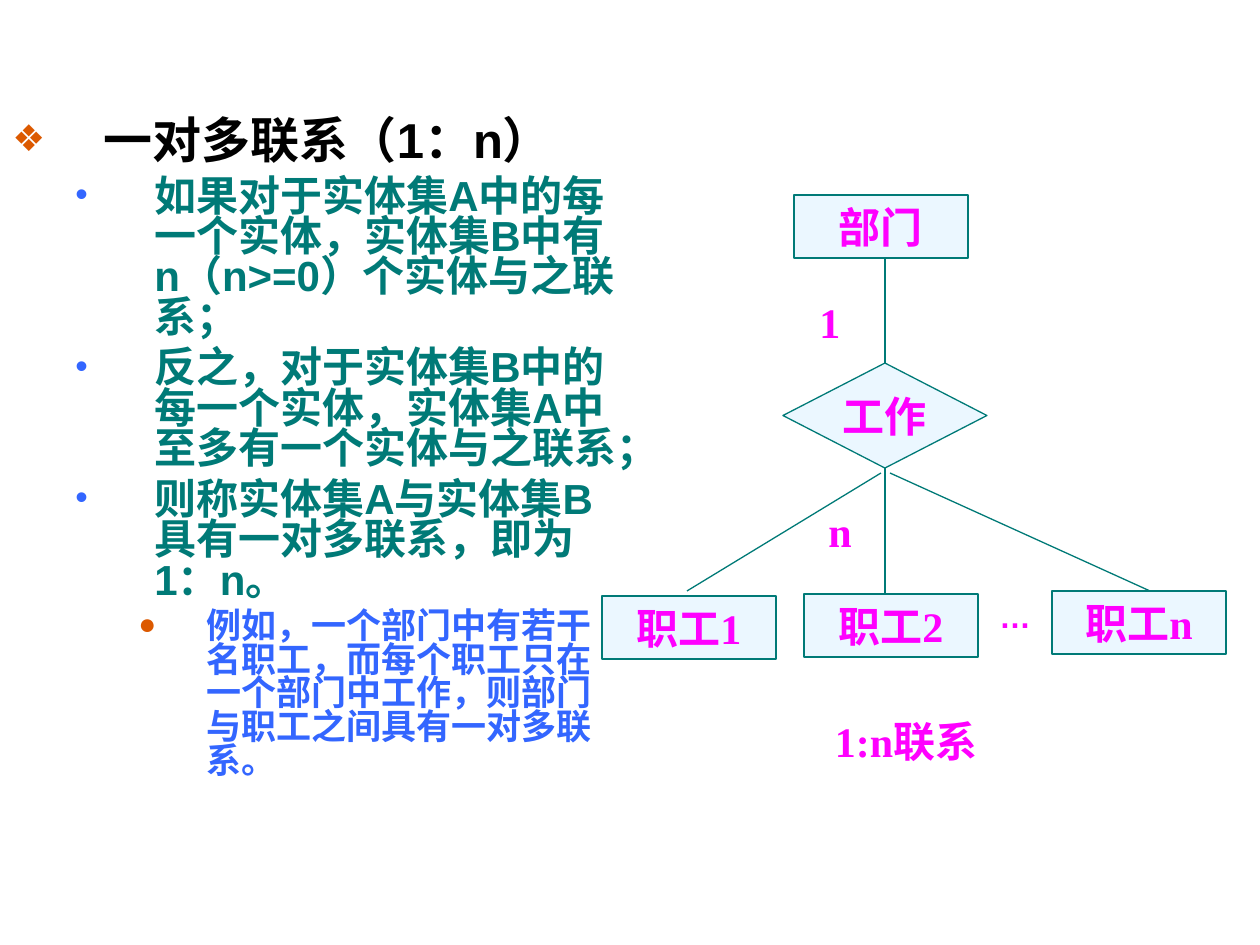
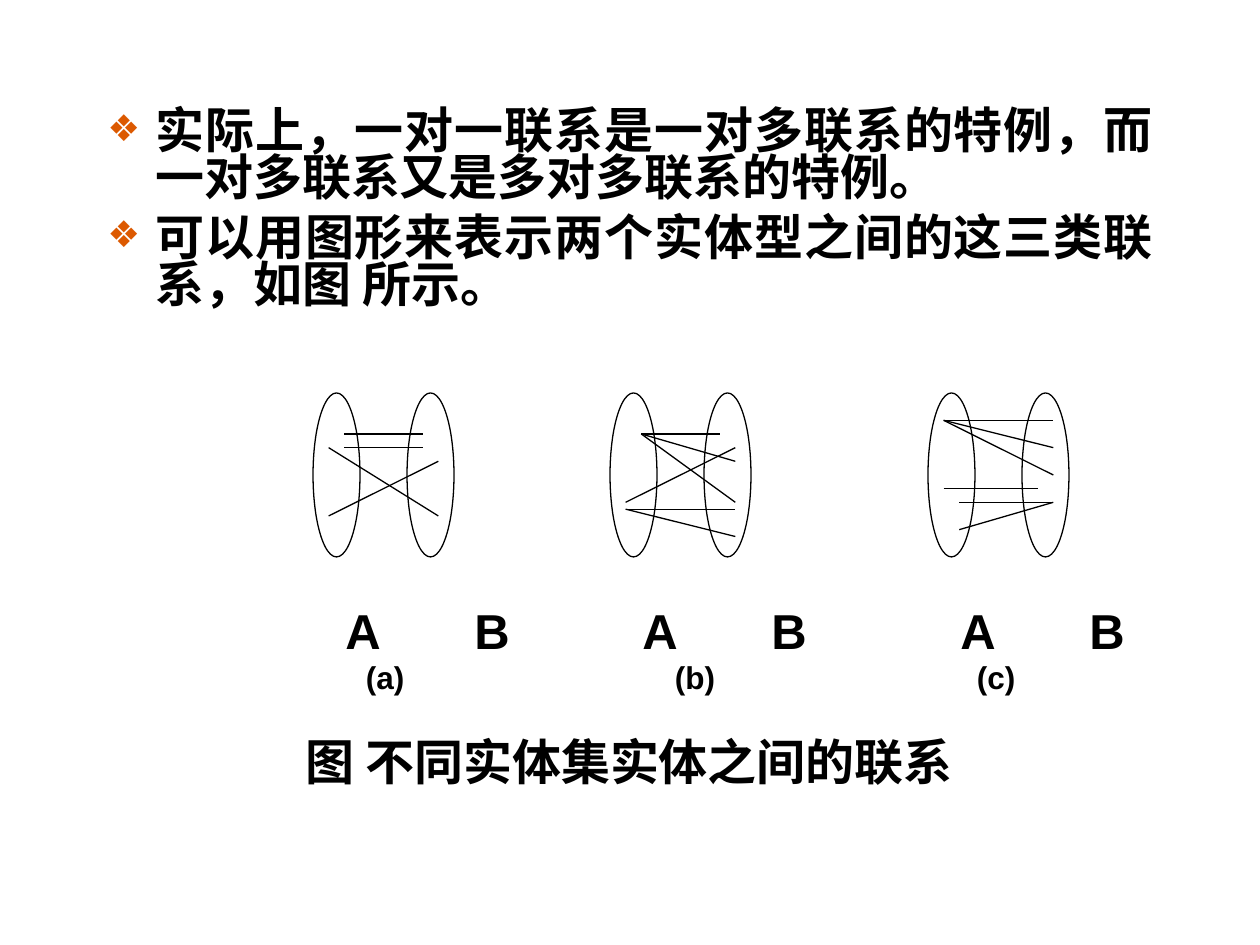
from dataclasses import dataclass

from lxml.etree import SubElement
from pptx import Presentation
from pptx.dml.color import RGBColor
from pptx.enum.lang import MSO_LANGUAGE_ID as Language
from pptx.enum.shapes import MSO_CONNECTOR as Connector, MSO_SHAPE as Preset
from pptx.enum.text import MSO_ANCHOR as Anchor, PP_ALIGN as Align
from pptx.oxml.ns import qn
from pptx.util import Emu, Pt


@dataclass(frozen=True)
class Theme:
    sans: str = "Arial"
    serif: str = "Times New Roman"
    black: str = "000000"
    teal: str = "007A77"
    blue: str = "3366FF"
    orange: str = "DC5900"
    magenta: str = "FF00FF"
    pale: str = "EBF7FF"
    heading: int = 28
    body: int = 24
    detail: int = 20
    small: int = 18
    line: float = 0.75
    spacing: float = 0.8


THEME = Theme()
EMU_PER_PX = 914400 / 126
SLIDE_SIZE = (1260, 945)

HEADING = dict(size=THEME.heading, before=7, spacing=THEME.spacing,
               bullet=("❖", THEME.orange, 75))
POINT = dict(size=THEME.body, color=THEME.teal, before=6, spacing=THEME.spacing,
             level=1, margin=142, hanging=79, bullet=("•", THEME.blue, 85))
EXAMPLE = dict(size=THEME.detail, color=THEME.blue, before=5, spacing=THEME.spacing,
               level=2, margin=194, hanging=68, bullet=("●", THEME.orange, 85))
WIDE_HEADING = dict(HEADING, margin=91, hanging=91)
JUSTIFIED_HEADING = dict(HEADING, margin=48, hanging=48, align=Align.JUSTIFY)
DIAGRAM = dict(size=THEME.body, color=THEME.magenta, font=THEME.serif, align=Align.CENTER)
CENTERED = dict(size=THEME.heading, align=Align.CENTER)

ONE_TO_MANY = [
    ("一对多联系（1：n）", WIDE_HEADING),
    ("如果对于实体集A中的每一个实体，实体集B中有n（n>=0）个实体与之联系；", POINT),
    ("反之，对于实体集B中的每一个实体，实体集A中至多有一个实体与之联系；", POINT),
    ("则称实体集A与实体集B具有一对多联系，即为1：n。", POINT),
    ("例如，一个部门中有若干名职工，而每个职工只在一个部门中工作，"
     "则部门与职工之间具有一对多联系。", EXAMPLE),
]
ENTITY_SIZE = (174, 63)
ENTITIES = [("部门", 794, 195), ("职工1", 602, 596), ("职工2", 804, 594), ("职工n", 1052, 591)]
RELATION = ("工作", (783, 363, 204, 105))
DIAGRAM_LABELS = [("1", (804, 290, 52, 63)), ("n", (814, 499, 52, 63)),
                  ("1:n联系", (814, 709, 184, 63))]
ELLIPSIS = ("…", (987, 591, 52, 50))
RELATION_LINKS = [((885, 363), (885, 258), 0), ((885, 468), (885, 594), 2)]
SIDE_LINKS = [((881, 473), (687, 591)), ((890, 473), (1150, 591))]

SPECIAL_CASES = [
    ("实际上，一对一联系是一对多联系的特例，而一对多联系又是多对多联系的特例。", JUSTIFIED_HEADING),
    ("可以用图形来表示两个实体型之间的这三类联系，如图 所示。", JUSTIFIED_HEADING),
]
MAPPINGS = [
    dict(name="(a)", left=313, name_center=385, links=[
        (2, 3, 7, 3), (2, 4, 7, 4), (1, 4, 8, 9), (1, 9, 8, 5)]),
    dict(name="(b)", left=610, name_center=695, links=[
        (2, 3, 7, 3), (2, 3, 8, 5), (2, 3, 8, 8),
        (1, 8, 8, 4), (1, 8.5, 8, 8.5), (1, 8.5, 8, 10.5)]),
    dict(name="(c)", left=928, name_center=996, links=[
        (1, 2, 8, 2), (1, 2, 8, 4), (1, 2, 8, 6),
        (2, 8, 8, 8), (2, 10, 8, 8), (1, 7, 7, 7)]),
]
SET_TOP, SET_WIDTH, SET_HEIGHT, SET_PITCH = 393, 47, 164, 94
SET_LABELS = [("A", 50), ("B", 179)]
CAPTION = "图 不同实体集实体之间的联系"


def px(length):
    return Emu(round(length * EMU_PER_PX))


def rgb(color):
    return RGBColor.from_string(color)


def add_bullet(paragraph, mark, color, percent):
    properties = paragraph._p.get_or_add_pPr()
    SubElement(SubElement(properties, qn("a:buClr")), qn("a:srgbClr"), val=color)
    SubElement(properties, qn("a:buSzPct"), val=str(percent * 1000))
    SubElement(properties, qn("a:buFont"), typeface=THEME.sans)
    SubElement(properties, qn("a:buChar"), char=mark)


def write(shape, text, size, color=THEME.black, font=THEME.sans, align=Align.LEFT,
          before=0, spacing=None, level=0, margin=0, hanging=0, bullet=None):
    frame = shape.text_frame
    first = not frame.text
    paragraph = frame.paragraphs[0] if first else frame.add_paragraph()
    if bullet:
        properties = paragraph._p.get_or_add_pPr()
        properties.set("marL", str(px(margin)))
        properties.set("indent", str(-px(hanging)))
        add_bullet(paragraph, *bullet)
    paragraph.level = level
    paragraph.alignment = align
    paragraph.line_spacing = spacing
    paragraph.space_before = Pt(0 if first else before)
    run = paragraph.add_run()
    run.text = text
    run.font.name = font
    run.font.size = Pt(size)
    run.font.bold = True
    run.font.color.rgb = rgb(color)
    run.font.language_id = Language.SIMPLIFIED_CHINESE


def add_text(slide, box, paragraphs, anchor=Anchor.TOP):
    shape = slide.shapes.add_textbox(*map(px, box))
    shape.text_frame.word_wrap = True
    shape.text_frame.vertical_anchor = anchor
    for text, style in paragraphs:
        write(shape, text, **style)


def add_label(slide, text, center, middle, width=80, height=70, **style):
    box = (center - width / 2, middle - height / 2, width, height)
    add_text(slide, box, [(text, style)], Anchor.MIDDLE)


def add_outline(slide, preset, box, line, fill=None):
    shape = slide.shapes.add_shape(preset, *map(px, box))
    shape.shadow.inherit = False
    shape.line.color.rgb = rgb(line)
    shape.line.width = Pt(THEME.line)
    if fill:
        shape.fill.solid()
        shape.fill.fore_color.rgb = rgb(fill)
    else:
        shape.fill.background()
    return shape


def add_node(slide, preset, text, box, anchor=Anchor.TOP, wrap=True):
    shape = add_outline(slide, preset, box, THEME.teal, THEME.pale)
    shape.text_frame.word_wrap = wrap
    shape.text_frame.vertical_anchor = anchor
    write(shape, text, **DIAGRAM)
    return shape


def add_line(slide, start, end, color):
    connector = slide.shapes.add_connector(Connector.STRAIGHT, *map(px, (*start, *end)))
    connector.line.color.rgb = rgb(color)
    connector.line.width = Pt(THEME.line)
    SubElement(connector._element.spPr, qn("a:effectLst"))
    return connector


def add_mapping(slide, name, left, name_center, links):
    column = (SET_PITCH + SET_WIDTH) / 9
    row = SET_HEIGHT / 12
    for index in range(2):
        box = (left + index * SET_PITCH, SET_TOP, SET_WIDTH, SET_HEIGHT)
        add_outline(slide, Preset.OVAL, box, THEME.black)
    for x1, y1, x2, y2 in links:
        add_line(slide, (left + x1 * column, SET_TOP + y1 * row),
                 (left + x2 * column, SET_TOP + y2 * row), THEME.black)
    for text, offset in SET_LABELS:
        add_label(slide, text, left + offset, 630, **CENTERED)
    add_label(slide, name, name_center, 677, **dict(CENTERED, size=THEME.small))


def build_one_to_many(slide):
    add_text(slide, (0, 115, 630, 774), ONE_TO_MANY)
    for text, left, top in ENTITIES:
        add_node(slide, Preset.RECTANGLE, text, (left, top, *ENTITY_SIZE))
    text, box = RELATION
    relation = add_node(slide, Preset.DIAMOND, text, box, Anchor.MIDDLE, wrap=False)
    for start, end, site in RELATION_LINKS:
        add_line(slide, start, end, THEME.teal).begin_connect(relation, site)
    for start, end in SIDE_LINKS:
        add_line(slide, start, end, THEME.teal)
    for text, box in DIAGRAM_LABELS:
        add_text(slide, box, [(text, DIAGRAM)])
    text, box = ELLIPSIS
    add_text(slide, box, [(text, dict(size=THEME.small, color=THEME.magenta))])


def build_special_cases(slide):
    add_text(slide, (95, 105, 1071, 240), SPECIAL_CASES)
    for mapping in MAPPINGS:
        add_mapping(slide, **mapping)
    add_label(slide, CAPTION, 629, 761, width=1071, height=90, **CENTERED)


def main():
    presentation = Presentation()
    presentation.slide_width, presentation.slide_height = map(px, SLIDE_SIZE)
    for build in (build_one_to_many, build_special_cases):
        build(presentation.slides.add_slide(presentation.slide_layouts[6]))
    presentation.save("out.pptx")


if __name__ == "__main__":
    main()
